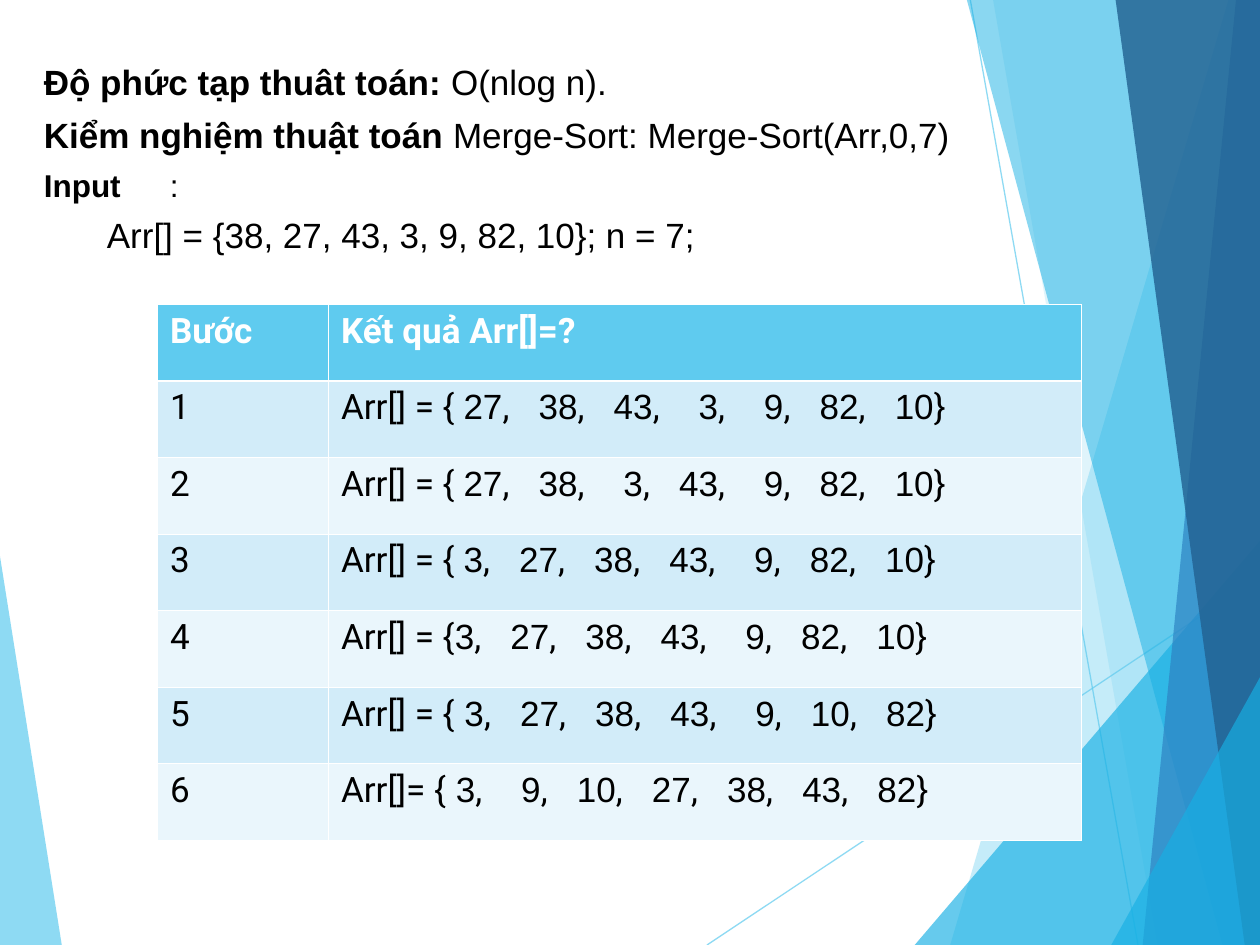
from lxml.etree import SubElement
from pptx import Presentation
from pptx.dml.color import RGBColor as RGB
from pptx.enum.shapes import MSO_CONNECTOR as CONN
from pptx.enum.text import PP_ALIGN as ALIGN
from pptx.oxml.ns import qn
from pptx.util import Pt

COLORS = {
    "sky": "5FCBEF", "cyan": "17B0E4", "blue": "2E83C3", "navy": "236292",
    "band_dark": "D2ECF9", "band_light": "EAF6FC",
    "white": "FFFFFF", "black": "000000",
}
W, H = 720, 540


class SlideBuilder:
    sans, display = "Arial", "Roboto"
    size = 20
    thin, thick = 0.45, 1.47

    def __init__(self, slide):
        self.s = slide

    def paint(self, fmt, color, alpha=100):
        """Set a solid colour on a fill, with opacity in percent."""
        fmt.solid()
        fmt.fore_color.rgb = RGB.from_string(COLORS[color])
        if alpha < 100:
            clr = fmt._xPr.find(".//" + qn("a:srgbClr"))
            SubElement(clr, qn("a:alpha"), val=str(alpha * 1000))

    def polygon(self, points, color, alpha):
        pts = [(Pt(x), Pt(y)) for x, y in points]
        builder = self.s.shapes.build_freeform(*pts[0])
        builder.add_line_segments(pts[1:], close=True)
        sp = builder.convert_to_shape()
        sp.shadow.inherit = False
        sp.line.fill.background()
        self.paint(sp.fill, color, alpha)

    def line(self, x1, y1, x2, y2, color, alpha, width=0.75):
        c = self.s.shapes.add_connector(
            CONN.STRAIGHT, Pt(x1), Pt(y1), Pt(x2), Pt(y2))
        c.line.width = Pt(width)
        self.paint(c.line.fill, color, alpha)
        SubElement(c._element.spPr, qn("a:effectLst"))

    def run(self, p, text, font, size=size, bold=False, color="black"):
        r = p.add_run()
        r.text = text
        r.font.name, r.font.size, r.font.bold = font, Pt(size), bold
        r.font.color.rgb = RGB.from_string(COLORS[color])

    def text(self, x, y, w, h, lines, gap=6):
        """Each line is a size followed by (text, bold) pairs."""
        tf = self.s.shapes.add_textbox(Pt(x), Pt(y), Pt(w), Pt(h)).text_frame
        tf.word_wrap = True
        for i, (size, *runs) in enumerate(lines):
            p = tf.add_paragraph() if i else tf.paragraphs[0]
            p.alignment = ALIGN.JUSTIFY
            p.space_before = Pt(gap if i else 0)
            for text, bold in runs:
                self.run(p, text, self.sans, size, bold)

    def cell(self, cell, runs, fill, top, bottom, **style):
        tcPr = cell._tc.get_or_add_tcPr()
        for side, width in zip("LRTB", (self.thin, self.thin, top, bottom)):
            ln = SubElement(tcPr, qn("a:ln" + side), w=str(Pt(width)))
            solid = SubElement(ln, qn("a:solidFill"))
            SubElement(solid, qn("a:srgbClr"), val=COLORS["white"])
        self.paint(cell.fill, fill)
        for text, font in runs:
            self.run(cell.text_frame.paragraphs[0], text, font, **style)

    def table(self, x, y, widths, row_h, header, rows):
        """Header is a list of texts; rows hold lists of (text, font) runs."""
        n = len(rows) + 1
        t = self.s.shapes.add_table(
            n, len(widths), Pt(x), Pt(y), Pt(sum(widths)), Pt(row_h * n)).table
        for col, width in zip(t.columns, widths):
            col.width = Pt(width)
        for row in t.rows:
            row.height = Pt(row_h)
        for c, text in enumerate(header):
            self.cell(t.cell(0, c), [(text, self.display)], "sky",
                      self.thin, self.thick, bold=True, color="white")
        for i, row in enumerate(rows, 1):
            fill = "band_dark" if i % 2 else "band_light"
            top = self.thick if i == 1 else self.thin
            for c, runs in enumerate(row):
                self.cell(t.cell(i, c), runs, fill, top, self.thin)

    def array_runs(self, opening, first, *rest):
        """Numbers in the sans font, punctuation in the display font."""
        runs = [(opening, self.display), (first, self.sans)]
        for value in rest:
            pad = "   " if value > 9 else "    "
            runs += [(",", self.display), (f"{pad}{value}", self.sans)]
        return runs + [("}", self.display)]


LEFT_WEDGE = [(0, 318), (35.3, H), (0, H)]
RIGHT_FACETS = [
    ([(702, 0), (543, H), (W, H), (W, 0)], "sky", 36),
    ([(567.5, 0), (661.5, H), (W, H), (W, 0)], "sky", 20),
    ([(522.7, H), (W, 309), (W, H)], "cyan", 66),
    ([(552.5, 0), (698.5, H), (W, H), (W, 0)], "cyan", 50),
    ([(706.3, 0), (653, H), (W, H), (W, 0)], "blue", 70),
    ([(637.5, 0), (711.3, H), (W, H), (W, 0)], "navy", 82),
    ([(635, H), (W, 387), (W, H)], "cyan", 66),
]
INTRO = [
    (20, ("Độ phức tạp thuât toán: ", True), ("O(nlog n).", False)),
    (20, ("Kiểm nghiệm thuật toán ", True),
     ("Merge-Sort: Merge-Sort(Arr,0,7)", False)),
    (18, ("Input \t", True), (":", False)),
    (20, ("\tArr[] = {38, 27, 43, 3, 9, 82, 10}; n = 7;", False)),
]
STEPS = [
    ("Arr[] = { ", "27", 38, 43, 3, 9, 82, 10),
    ("Arr[] = { ", "27", 38, 3, 43, 9, 82, 10),
    ("Arr[] = { ", "3", 27, 38, 43, 9, 82, 10),
    ("Arr[] = {", "3", 27, 38, 43, 9, 82, 10),
    ("Arr[] = {", " 3", 27, 38, 43, 9, 10, 82),
    ("Arr[]= {", " 3", 9, 10, 27, 38, 43, 82),
]


def main():
    prs = Presentation()
    prs.slide_width, prs.slide_height = Pt(W), Pt(H)
    b = SlideBuilder(prs.slides.add_slide(prs.slide_layouts[6]))

    b.polygon(LEFT_WEDGE, "sky", 70)
    b.line(404, H, W, 329.5, "sky", 70)
    b.line(554.5, 0, 650.3, H, "sky", 70)
    for facet in RIGHT_FACETS:
        b.polygon(*facet)

    b.text(18, 31, 684, 148, INTRO)
    rows = [[[(str(i), b.display)], b.array_runs(*step)]
            for i, step in enumerate(STEPS, 1)]
    b.table(90, 174, (97.7, 430.3), 43.75, ("Bước", "Kết quả Arr[]=?"), rows)
    prs.save("out.pptx")


if __name__ == "__main__":
    main()
